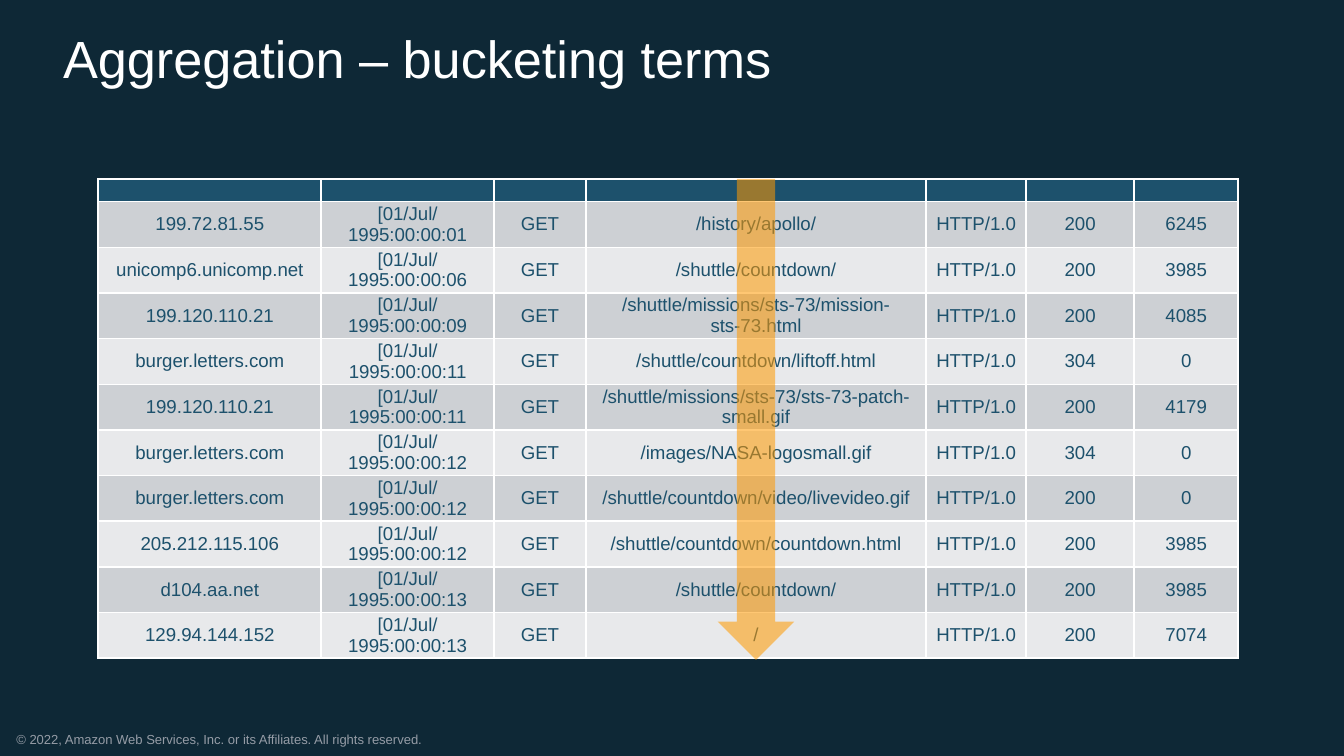
"""Build the slide on bucketing log terms."""
from lxml.etree import SubElement
from pptx import Presentation
from pptx.dml.color import RGBColor
from pptx.enum.shapes import MSO_SHAPE
from pptx.enum.text import MSO_ANCHOR, MSO_AUTO_SIZE, PP_ALIGN
from pptx.oxml.ns import qn
from pptx.util import Pt

TITLE = "Aggregation – bucketing terms"
NOTICE = "© 2022, Amazon Web Services, Inc. or its Affiliates. All rights reserved."
LOGS = [
    ("199.72.81.55", "01", "/history/apollo/", "200", "6245"),
    ("unicomp6.unicomp.net", "06", "/shuttle/countdown/", "200", "3985"),
    ("199.120.110.21", "09", "/shuttle/missions/sts-73/mission-sts-73.html", "200", "4085"),
    ("burger.letters.com", "11", "/shuttle/countdown/liftoff.html", "304", "0"),
    ("199.120.110.21", "11", "/shuttle/missions/sts-73/sts-73-patch-small.gif", "200", "4179"),
    ("burger.letters.com", "12", "/images/NASA-logosmall.gif", "304", "0"),
    ("burger.letters.com", "12", "/shuttle/countdown/video/livevideo.gif", "200", "0"),
    ("205.212.115.106", "12", "/shuttle/countdown/countdown.html", "200", "3985"),
    ("d104.aa.net", "13", "/shuttle/countdown/", "200", "3985"),
    ("129.94.144.152", "13", "/", "200", "7074"),
]
WIDTHS = [119.5, 92.5, 49.3, 182.2, 53.7, 57.8, 55.8]
HEAD, ROW = 12.24, 24.48
LEFT, TOP = 52.6, 95.8
BLUE, BANDS = "1D516C", ("E8E9EB", "CDD0D4")


def paint(fill, color):
    fill.solid()
    fill.fore_color.rgb = RGBColor.from_string(color)


def style(font, size, color):
    font.name = "Arial"
    font.size = Pt(size)
    paint(font.fill, color)


def write(frame, text, size, color):
    frame.text = text
    frame.margin_left = frame.margin_right = 0
    frame.margin_top = frame.margin_bottom = 0
    for run in frame.paragraphs[0].runs:
        style(run.font, size, color)


def edge(cell):
    props = cell._tc.get_or_add_tcPr()
    for index, side in enumerate(("lnL", "lnR", "lnT", "lnB")):
        line = SubElement(props, qn("a:" + side), w=str(Pt(1)))
        fill = SubElement(line, qn("a:solidFill"))
        SubElement(fill, qn("a:srgbClr"), val="FFFFFF")
        props.insert(index, line)


def fill_cell(cell, text, color):
    write(cell.text_frame, text, 10, BLUE)
    cell.margin_left = cell.margin_right = 0
    cell.margin_top = cell.margin_bottom = 0
    cell.vertical_anchor = MSO_ANCHOR.MIDDLE
    para = cell.text_frame.paragraphs[0]
    para.alignment = PP_ALIGN.CENTER
    if not text:
        SubElement(para._p, qn("a:endParaRPr"), sz="1000")
    paint(cell.fill, color)
    edge(cell)


def add_logs(slide):
    rows = [[""] * len(WIDTHS)]
    for host, sec, page, status, size in LOGS:
        stamp = "[01/Jul/1995:00:00:" + sec
        rows.append([host, stamp, "GET", page, "HTTP/1.0", status, size])
    high = HEAD + ROW * len(LOGS)
    frame = slide.shapes.add_table(len(rows), len(WIDTHS), Pt(LEFT), Pt(TOP),
                                   Pt(sum(WIDTHS)), Pt(high))
    table = frame.table
    for col, width in zip(table.columns, WIDTHS):
        col.width = Pt(width)
    for r, row in enumerate(rows):
        table.rows[r].height = Pt(ROW if r else HEAD)
        for c, text in enumerate(row):
            fill_cell(table.cell(r, c), text, BANDS[r % 2] if r else BLUE)
    return high


def add_arrow(slide, high):
    wide = 41
    mid = LEFT + sum(WIDTHS[:3]) + WIDTHS[3] / 2
    arrow = slide.shapes.add_shape(MSO_SHAPE.DOWN_ARROW, Pt(mid - wide / 2),
                                   Pt(TOP), Pt(wide), Pt(high + 0.7))
    arrow.shadow.inherit = False
    paint(arrow.fill, "FF9900")
    color = next(arrow._element.spPr.iter(qn("a:srgbClr")))
    SubElement(color, qn("a:alpha"), val="55000")
    arrow.line.fill.background()


def main():
    deck = Presentation()
    deck.slide_width, deck.slide_height = Pt(720), Pt(405)
    slide = deck.slides.add_slide(deck.slide_layouts[5])
    paint(slide.background.fill, "0E2836")

    title = slide.shapes.title
    title.left, title.top = Pt(26.6), Pt(9.4)
    title.width, title.height = Pt(645.8), Pt(43.2)
    frame = title.text_frame
    frame.text = TITLE
    frame.auto_size = MSO_AUTO_SIZE.NONE
    frame.vertical_anchor = MSO_ANCHOR.MIDDLE
    frame.paragraphs[0].alignment = PP_ALIGN.LEFT
    style(frame.paragraphs[0].runs[0].font, 28, "FFFFFF")

    note = slide.shapes.add_textbox(Pt(8.8), Pt(392), Pt(238), Pt(8.4))
    note.text_frame.word_wrap = True
    write(note.text_frame, NOTICE, 7, "959CA6")

    add_arrow(slide, add_logs(slide))
    deck.save("out.pptx")


if __name__ == "__main__":
    main()
